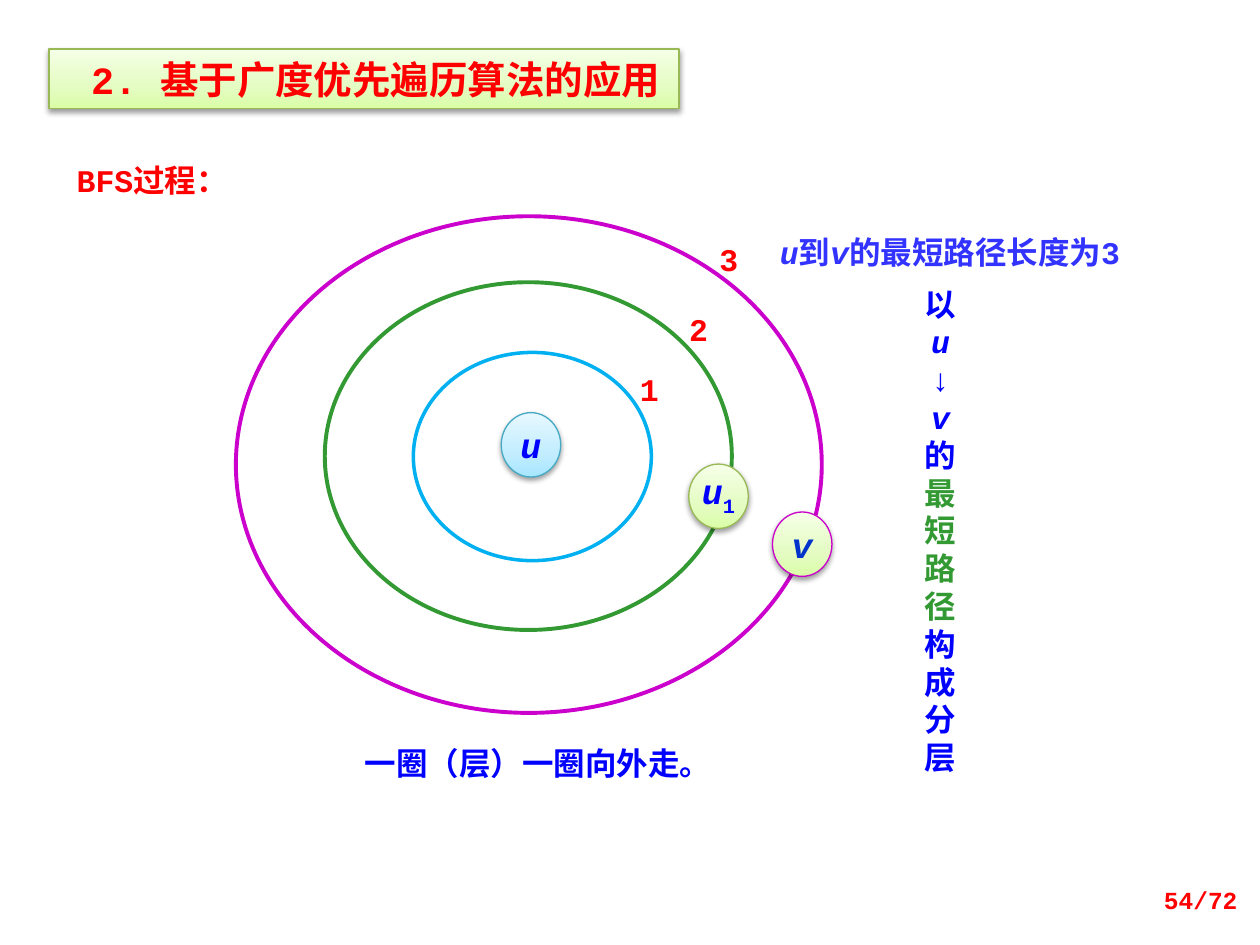
from copy import deepcopy
from dataclasses import dataclass

from lxml import etree
from pptx import Presentation
from pptx import util as u
from pptx.dml.color import RGBColor
from pptx.enum import shapes, text
from pptx.oxml.ns import qn

LATIN, CJK = "Courier New", "Noto Sans CJK SC"
RED, BLUE, GREEN, PURPLE = "FF0000", "0000FF", "339933", "CC00CC"
LIME_FILL = ("DAFDA7", "E4FCC2", "F5FFE7")
SKY_FILL = ("A7E6FF", "C1EDFF", "E7F8FF")
LEFT, CENTER, RIGHT = text.PP_ALIGN.LEFT, text.PP_ALIGN.CENTER, text.PP_ALIGN.RIGHT


@dataclass
class Span:
    words: str
    color: str
    italic: bool = False
    subscript: bool = False


@dataclass
class Ring:
    box: tuple
    color: str
    weight: float = 2.25


@dataclass
class Node:
    left: float
    top: float
    spans: list
    fill: tuple
    outline: str


@dataclass
class Label:
    box: tuple
    paragraphs: list
    align: int = CENTER
    size: float = 18


def rgb(value: str) -> RGBColor:
    return RGBColor.from_string(value)


def place(box: tuple) -> list:
    return [u.Pt(length) for length in box]


def write(frame, paragraphs: list, size: float, align=CENTER) -> None:
    """Fill a text frame; each paragraph is a list of spans."""
    for index, spans in enumerate(paragraphs):
        paragraph = frame.add_paragraph() if index else frame.paragraphs[0]
        paragraph.alignment = align
        paragraph.line_spacing = u.Pt(size * 1.2)
        for span in spans:
            run = paragraph.add_run()
            run.text = span.words
            run.font.color.rgb = rgb(span.color)
            values = {"name": LATIN, "size": u.Pt(size), "bold": True, "italic": span.italic}
            for key, value in values.items():
                setattr(run.font, key, value)
            props = run.font._element
            etree.SubElement(props, qn("a:ea")).set("typeface", CJK)
            if span.subscript:
                props.set("baseline", "-25000")


def style_raised(shape, colors: tuple, outline: str) -> None:
    """Three-stop gradient rising from the bottom, thin outline, soft shadow."""
    shape.fill.gradient()
    shape.fill.gradient_angle = 90
    stop_list = shape._element.spPr.find(".//" + qn("a:gsLst"))
    stop_list.insert(1, deepcopy(stop_list[0]))
    for stop, color, position in zip(shape.fill.gradient_stops, colors, (0, 0.35, 1)):
        stop.color.rgb = rgb(color)
        stop.position = position
    shape.line.color.rgb = rgb(outline)
    shape.line.width = u.Pt(0.75)
    shape.shadow.inherit = False
    effects = shape._element.spPr.find(qn("a:effectLst"))
    shadow = etree.SubElement(effects, qn("a:outerShdw"))
    for key, value in {"blurRad": u.Pt(3.1), "dist": u.Pt(1.6), "dir": 5400000, "rotWithShape": 0}.items():
        shadow.set(key, str(int(value)))
    black = etree.SubElement(shadow, qn("a:srgbClr"), val="000000")
    etree.SubElement(black, qn("a:alpha"), val="38000")


def draw_ring(slide, ring: Ring) -> None:
    ellipse = slide.shapes.add_shape(shapes.MSO_SHAPE.OVAL, *place(ring.box))
    ellipse.fill.background()
    ellipse.line.color.rgb = rgb(ring.color)
    ellipse.line.width = u.Pt(ring.weight)
    ellipse.shadow.inherit = False


def draw_node(slide, node: Node) -> None:
    box = (node.left, node.top, 34, 36.8)
    ellipse = slide.shapes.add_shape(shapes.MSO_SHAPE.OVAL, *place(box))
    style_raised(ellipse, node.fill, node.outline)
    ellipse.text_frame.word_wrap = False
    ellipse.text_frame.vertical_anchor = text.MSO_ANCHOR.MIDDLE
    write(ellipse.text_frame, [node.spans], 20)


def draw_label(slide, label: Label) -> None:
    frame = slide.shapes.add_textbox(*place(label.box)).text_frame
    frame.word_wrap = True
    write(frame, label.paragraphs, label.size, label.align)


def draw_title(slide, words: str) -> None:
    title = slide.shapes.title
    title.left, title.top, title.width, title.height = place((28, 28, 360, 34))
    style_raised(title, LIME_FILL, "98B955")
    frame = title.text_frame
    values = {"word_wrap": False, "auto_size": text.MSO_AUTO_SIZE.NONE,
              "vertical_anchor": text.MSO_ANCHOR.MIDDLE}
    for key, value in values.items():
        setattr(frame, key, value)
    write(frame, [[Span(words, RED)]], 22)


RINGS = [
    Ring((236.2, 201.4, 136, 119), "00B0F0", 2),
    Ring((185.6, 161.3, 232.6, 198.7), GREEN),
    Ring((134.8, 123.6, 334.8, 283.8), PURPLE),
]
NODES = [
    Node(286.4, 235.8, [Span("u", BLUE, True)], SKY_FILL, "46AAC5"),
    Node(393.6, 265.2, [Span("u", BLUE, True), Span("1", BLUE, subscript=True)], LIME_FILL, "98B955"),
    Node(441.4, 292.6, [Span("v", "0033CC", True)], LIME_FILL, PURPLE),
]
LEVELS = [("1", 354.2, 208.1), ("2", 382.3, 173.5), ("3", 399.6, 133.9)]
PATH_BLUE = "3333FF"
LABELS = [
    Label((36.7, 88.6, 147.6, 28.8), [[Span("BFS过程：", RED)]], LEFT),
    Label((185.8, 421.9, 243.4, 28.8), [[Span("一圈（层）一圈向外走。", BLUE)]]),
    # Length of the shortest path
    Label((438.5, 129.6, 242, 28.8), [[
        Span("u", PATH_BLUE, True), Span("到", PATH_BLUE),
        Span("v", PATH_BLUE, True), Span("的最短路径长度为3", PATH_BLUE)]], LEFT),
    # Narrow column that wraps after each character
    Label((517.7, 159.1, 39.6, 290.9), [
        [Span("以", BLUE), Span("u", BLUE, True)],
        [Span("↓", BLUE)],
        [Span("v", BLUE, True), Span("的", BLUE), Span("最短路径", GREEN), Span("构成分层", BLUE)]]),
    # Page number
    Label((546.5, 502, 167.8, 28.8), [[Span("54/72", RED)]], RIGHT, 14),
] + [Label((left, top, 33.8, 28.8), [[Span(level, RED)]]) for level, left, top in LEVELS]


def main() -> None:
    deck = Presentation()
    deck.slide_width, deck.slide_height = u.Pt(720), u.Pt(540)
    slide = deck.slides.add_slide(deck.slide_layouts[5])
    draw_title(slide, " 2. 基于广度优先遍历算法的应用")
    # BFS layers, then the vertices on them
    for ring in RINGS:
        draw_ring(slide, ring)
    for node in NODES:
        draw_node(slide, node)
    for label in LABELS:
        draw_label(slide, label)
    deck.save("out.pptx")


if __name__ == "__main__":
    main()
